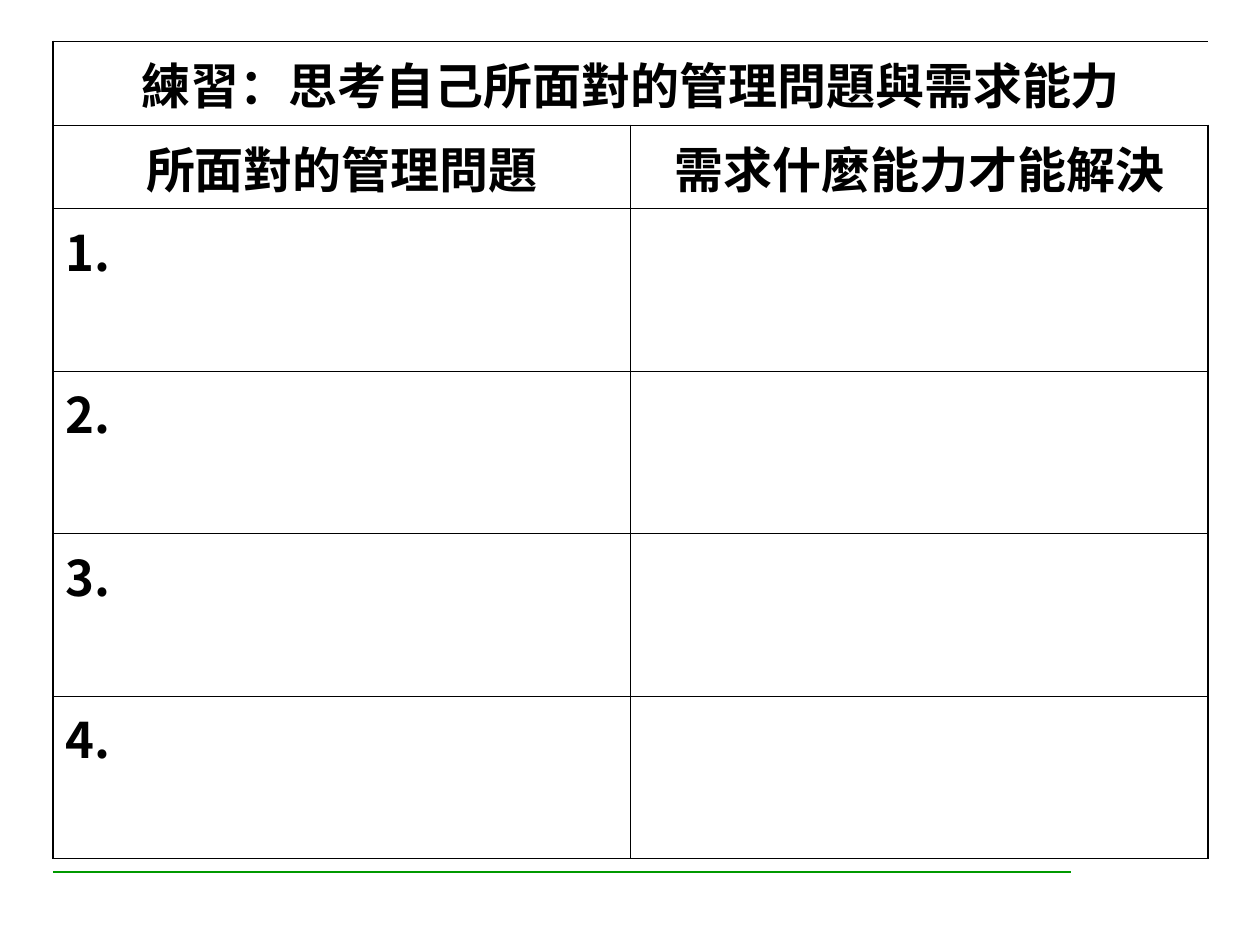
from lxml import etree
from pptx import Presentation
from pptx.dml.color import RGBColor
from pptx.enum.shapes import MSO_CONNECTOR
from pptx.enum.text import MSO_ANCHOR, PP_ALIGN
from pptx.oxml.ns import qn
from pptx.util import Inches, Pt

HEADING = "練習：思考自己所面對的管理問題與需求能力"
COLUMN_HEADS = ["所面對的管理問題", "需求什麼能力才能解決"]
ANSWER_COUNT = 4
ROWS = [[HEADING, ""], COLUMN_HEADS] + [[f"{n}.", ""] for n in range(1, ANSWER_COUNT + 1)]
HEAD_ROWS = 2

FONT = "Noto Sans CJK SC"
BLACK, WHITE, GREEN = "000000", "FFFFFF", "009900"
LEFT, TOP, WIDTH = 0.42, 0.33, 9.17
HEAD_HEIGHT, ANSWER_HEIGHT = 0.66, 1.29
RULE_Y, RULE_END = 6.92, 8.5
OUTER, INNER = 1.08, 0.45


def color(hex_code):
    return RGBColor.from_string(hex_code)


def add_border(cell, side, width):
    line = etree.SubElement(cell._tc.get_or_add_tcPr(), qn(f"a:ln{side}"), w=str(Pt(width)))
    fill = etree.SubElement(line, qn("a:solidFill"))
    etree.SubElement(fill, qn("a:srgbClr"), val=BLACK)


def write(cell, text, is_head):
    cell.vertical_anchor = MSO_ANCHOR.MIDDLE if is_head else MSO_ANCHOR.TOP
    paragraph = cell.text_frame.paragraphs[0]
    paragraph.alignment = PP_ALIGN.CENTER if is_head else PP_ALIGN.LEFT
    run = paragraph.add_run()
    run.text = text
    for name, value in {"size": Pt(28), "bold": True, "name": FONT}.items():
        setattr(run.font, name, value)
    run.font.color.rgb = color(BLACK)
    run.font._element.find(qn("a:latin")).addnext(
        etree.Element(qn("a:ea"), typeface=FONT))


def add_exercise_table(slide):
    heights = [HEAD_HEIGHT if r < HEAD_ROWS else ANSWER_HEIGHT for r in range(len(ROWS))]
    last_row, last_col = len(ROWS) - 1, len(COLUMN_HEADS) - 1
    table = slide.shapes.add_table(
        len(ROWS), len(COLUMN_HEADS), Inches(LEFT), Inches(TOP),
        Inches(WIDTH), Inches(sum(heights))).table
    table.first_row = table.horz_banding = False
    for row, height in zip(table.rows, heights):
        row.height = Inches(height)
    table.cell(0, 0).merge(table.cell(0, last_col))

    for r, texts in enumerate(ROWS):
        for c, text in enumerate(texts):
            cell = table.cell(r, c)
            on_edge = {"L": c == 0, "R": c == last_col, "T": r == 0, "B": r == last_row}
            for side, outer in on_edge.items():
                if r == 0 and (side, c) in (("R", 0), ("L", last_col)):
                    continue  # no divider inside the merged heading
                add_border(cell, side, OUTER if outer else INNER)
            cell.fill.solid()
            cell.fill.fore_color.rgb = color(WHITE)
            if text:
                write(cell, text, r < HEAD_ROWS)


def add_rule(slide):
    rule = slide.shapes.add_connector(
        MSO_CONNECTOR.STRAIGHT, Inches(LEFT), Inches(RULE_Y), Inches(RULE_END), Inches(RULE_Y))
    rule.line.color.rgb = color(GREEN)
    rule.line.width = Pt(1.5)
    etree.SubElement(rule._element.spPr, qn("a:effectLst"))


def main():
    deck = Presentation()
    deck.slide_width, deck.slide_height = Inches(10), Inches(7.5)
    slide = deck.slides.add_slide(deck.slide_layouts[6])
    add_rule(slide)
    add_exercise_table(slide)
    deck.save("out.pptx")


if __name__ == "__main__":
    main()
